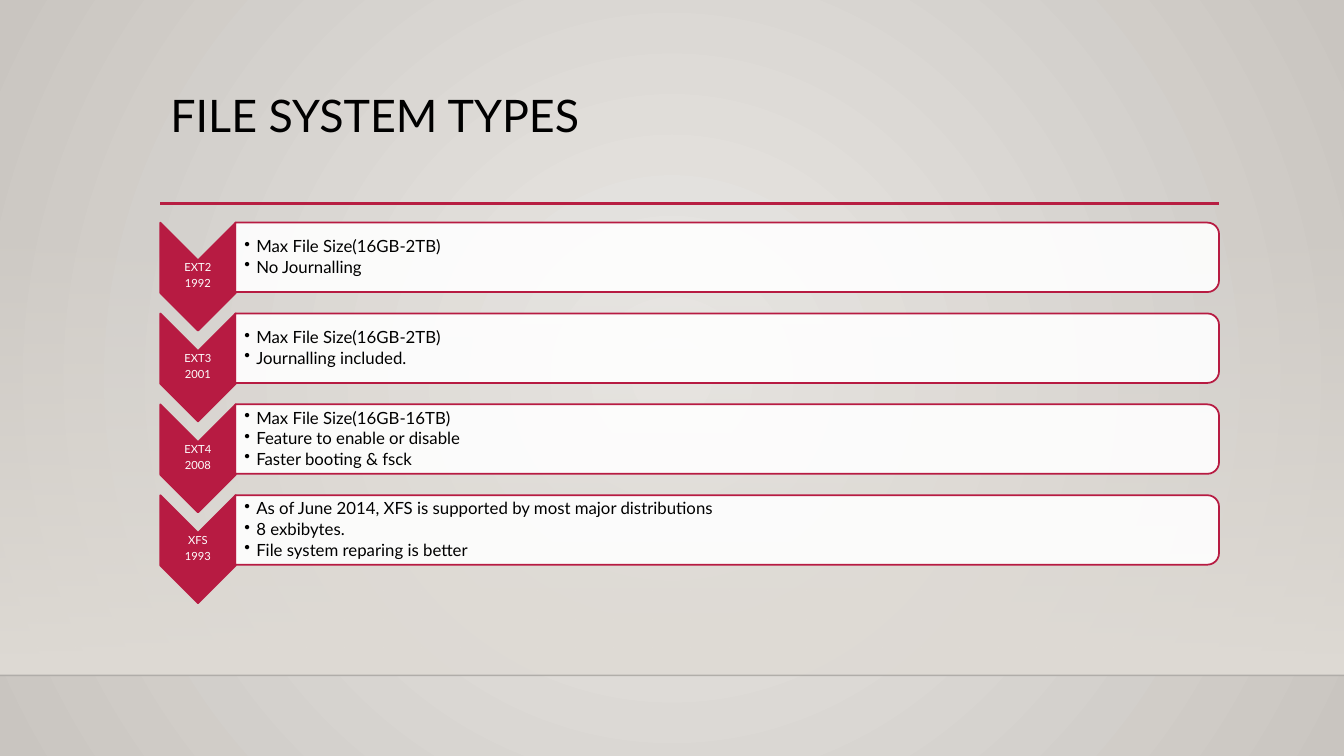
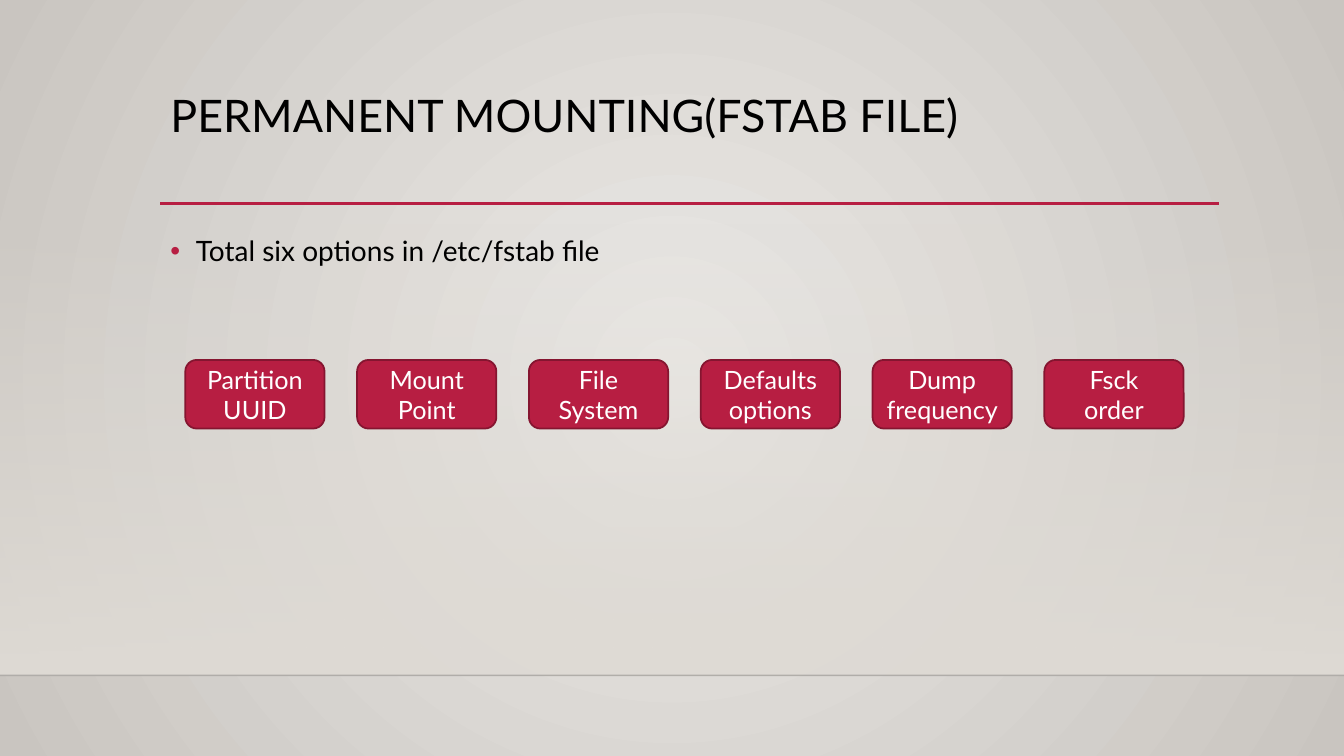
import pptx
import pptx.dml.color
import pptx.enum.shapes
import pptx.enum.text
import pptx.oxml
import pptx.oxml.ns
import pptx.util
from lxml import etree

Cm = pptx.util.Cm
Pt = pptx.util.Pt
qn = pptx.oxml.ns.qn
colour = pptx.dml.color.RGBColor.from_string
SHAPE = pptx.enum.shapes.MSO_SHAPE
STRAIGHT = pptx.enum.shapes.MSO_CONNECTOR.STRAIGHT
HOLDER = pptx.enum.shapes.PP_PLACEHOLDER
ALIGN = pptx.enum.text.PP_ALIGN
ANCHOR = pptx.enum.text.MSO_ANCHOR

FONT = "Lato"
CRIMSON = "B71E42"
CHEVRON_RED = "B71B42"
DARK_RED = "851530"
SAND = "DFDBD5"
BLACK = "000000"
WHITE = "FFFFFF"
LEFT = 4.04


def paint(shape, fill, line, opacity=100):
    shape.shadow.inherit = False
    shape.fill.solid()
    shape.fill.fore_color.rgb = colour(fill)
    shape.line.color.rgb = colour(line)
    shape.line.width = Pt(1.25)
    if opacity < 100:
        tint = shape.element.spPr.find(qn("a:solidFill")).find(qn("a:srgbClr"))
        etree.SubElement(tint, qn("a:alpha"), val=str(opacity * 1000))


def write(frame, lines, size, ink, align=ALIGN.LEFT, spacing=0.9, gap=0,
          bullet=None, indent=0):
    """Fill a frame with paragraphs; bullet is the colour of the bullet, if any."""
    frame.word_wrap = True
    frame.text = "\n".join(lines)
    for number, para in enumerate(frame.paragraphs):
        para.alignment = align
        para.line_spacing = spacing
        para.space_before = Pt(gap if number else 0)
        if bullet:
            props = para._p.get_or_add_pPr()
            props.set("marL", str(Cm(indent)))
            props.set("indent", str(-Cm(indent)))
            tint = etree.SubElement(props, qn("a:buClr"))
            etree.SubElement(tint, qn("a:srgbClr"), val=bullet)
            etree.SubElement(props, qn("a:buChar"), char="•")
        for span in para.runs:
            span.font.name = FONT
            span.font.size = Pt(size)
            span.font.color.rgb = colour(ink)


deck = pptx.Presentation()
deck.slide_width = Cm(33.87)
deck.slide_height = Cm(19.05)
master = deck.slide_master

# Master: background and placeholder positions
backdrop = master.background.fill
backdrop.gradient()
for stop, tone in zip(backdrop.gradient_stops, ("EBE9E6", "C9C5C0")):
    stop.color.rgb = colour(tone)
gradient = master.element.find(".//" + qn("a:gradFill"))
gradient.remove(gradient.find(qn("a:lin")))
circle = etree.SubElement(gradient, qn("a:path"), path="circle")
etree.SubElement(circle, qn("a:fillToRect"), l="50000", t="50000", r="50000", b="50000")

for kind, top, height in ((HOLDER.TITLE, 2.24, 2.92), (HOLDER.BODY, 5.59, 9.58)):
    holder = master.placeholders.get(kind)
    holder.left, holder.top = Cm(LEFT), Cm(top)
    holder.width, holder.height = Cm(26.67), Cm(height)
    holder.text_frame.vertical_anchor = ANCHOR.TOP

types_page = deck.slides.add_slide(deck.slide_layouts.get_by_name("Title Only"))
fstab_page = deck.slides.add_slide(deck.slide_layouts.get_by_name("Title and Content"))

# Master: fading band, floor line and title rule, drawn on a page and then moved
band = types_page.shapes.add_shape(SHAPE.RECTANGLE, 0, Cm(5.61), deck.slide_width, Cm(11.41))
band.shadow.inherit = False
band.line.fill.background()
band.fill.gradient()
band.fill.gradient_angle = 270
for stop in band.fill.gradient_stops:
    stop.color.rgb = colour(SAND)
etree.SubElement(band.element.find(".//" + qn("a:srgbClr")), qn("a:alpha"), val="0")

shared = [band]
for start, end, level, tone, weight in ((0, 33.87, 17.02, "000001", 1),
                                        (LEFT, 30.73, 5.13, CRIMSON, 2.5)):
    rule = types_page.shapes.add_connector(STRAIGHT, Cm(start), Cm(level), Cm(end), Cm(level))
    rule.line.color.rgb = colour(tone)
    rule.line.width = Pt(weight)
    etree.SubElement(rule.element.spPr, qn("a:effectLst"))
    shared.append(rule)
floor_tint = shared[1].element.find(".//" + qn("a:srgbClr"))
etree.SubElement(floor_tint, qn("a:alpha"), val="20000")

for number, shape in enumerate(shared):
    shape.element.find(".//" + qn("p:cNvPr")).set("id", str(20 + number))
    master.shapes.element.insert(2 + number, shape.element)

for page, title in ((types_page, "FILE SYSTEM TYPES"),
                    (fstab_page, "PERMANENT MOUNTING(FSTAB FILE)")):
    write(page.shapes.title.text_frame, [title], 32, BLACK)

# File system types: one chevron and one bar a row
file_systems = [
    ("EXT2", "1992", ["Max File Size(16GB-2TB)", "No Journalling"]),
    ("EXT3", "2001", ["Max File Size(16GB-2TB)", "Journalling included."]),
    ("EXT4", "2008", ["Max File Size(16GB-16TB)", "Feature to enable or disable",
                      "Faster booting & fsck"]),
    ("XFS", "1993", ["As of June 2014, XFS is supported by most major distributions",
                     "8 exbibytes.", "File system reparing is better"]),
]
ROW_TOP, ROW_PITCH = 5.61, 2.29
CHEVRON_WIDTH, CHEVRON_HEIGHT = 1.9, 2.72
BAR_LEFT, BAR_WIDTH, BAR_HEIGHT = 5.93, 24.79, 1.75

for row, (name, year, facts) in enumerate(file_systems):
    top = ROW_TOP + row * ROW_PITCH
    # Both shapes are turned a quarter, so width and height swap about the centre
    for kind, left, width, height, fill, opacity in (
            (SHAPE.CHEVRON, LEFT, CHEVRON_WIDTH, CHEVRON_HEIGHT, CHEVRON_RED, 100),
            (SHAPE.ROUND_2_SAME_RECTANGLE, BAR_LEFT, BAR_WIDTH, BAR_HEIGHT, WHITE, 90)):
        shape = types_page.shapes.add_shape(
            kind, Cm(left + (width - height) / 2), Cm(top + (height - width) / 2),
            Cm(height), Cm(width))
        shape.rotation = 90
        paint(shape, fill, CHEVRON_RED, opacity)

    label = types_page.shapes.add_textbox(Cm(LEFT), Cm(top + 0.94), Cm(CHEVRON_WIDTH), Cm(0.81))
    details = types_page.shapes.add_textbox(Cm(BAR_LEFT), Cm(top + 0.08), Cm(24.69), Cm(1.6))
    for box, inset in ((label, 0.03), (details, 0.23)):
        frame = box.text_frame
        frame.vertical_anchor = ANCHOR.MIDDLE
        frame.margin_left = Cm(inset)
        frame.margin_top = frame.margin_right = frame.margin_bottom = Cm(0.03)
    write(label.text_frame, [name, year], 8, WHITE, align=ALIGN.CENTER, gap=2.8)
    write(details.text_frame, facts, 12, BLACK, gap=1.8, bullet=BLACK, indent=0.3)

# Permanent mounting: the six fields of a line in fstab
write(fstab_page.placeholders[1].text_frame, ["Total six options in /etc/fstab file"],
      20, BLACK, spacing=1.2, bullet=CRIMSON, indent=0.64)

fields = ["Partition UUID", "Mount Point", "File System",
          "Defaults options", "Dump frequency", "Fsck order"]
for column, field in enumerate(fields):
    box = fstab_page.shapes.add_shape(
        SHAPE.FLOWCHART_ALTERNATE_PROCESS,
        Cm(4.67 + column * 4.33), Cm(9.07), Cm(3.51), Cm(1.73))
    paint(box, CRIMSON, DARK_RED)
    box.text_frame.vertical_anchor = ANCHOR.MIDDLE
    write(box.text_frame, [field], 18, WHITE, align=ALIGN.CENTER, spacing=1.0)

deck.save("out.pptx")
